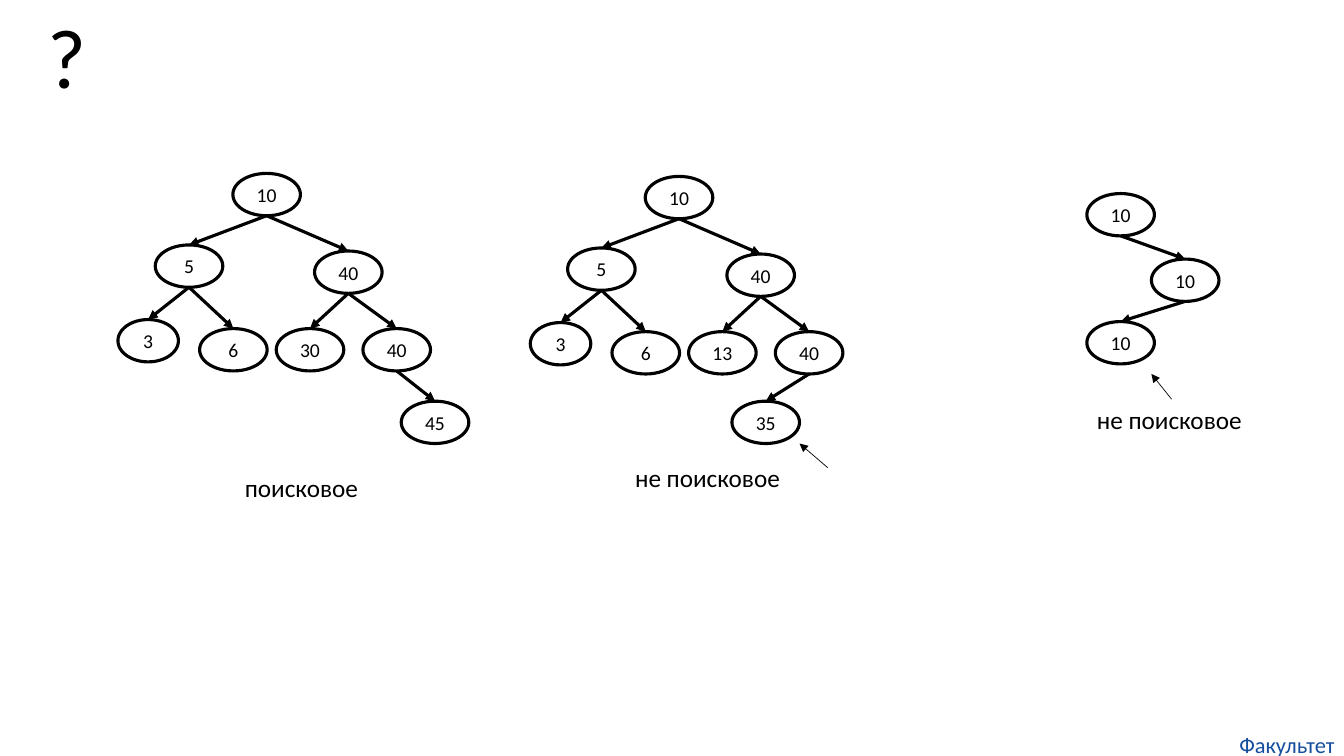
import pptx
import pptx.util
import pptx.dml.color
import pptx.enum.shapes
import pptx.enum.text
import pptx.oxml.ns
import lxml.etree
from dataclasses import dataclass

Inches = pptx.util.Inches
Pt = pptx.util.Pt
qn = pptx.oxml.ns.qn
Align = pptx.enum.text.PP_ALIGN


@dataclass(frozen=True)
class Theme:
    font: str = "Calibri"
    ink: str = "000000"
    blue: str = "144E9D"
    title: int = 60
    label: int = 18
    foot: int = 16
    node: int = 14
    thick: float = 2.25
    thin: float = 0.5


theme = Theme()


def write(frame, text, size, color, align=Align.LEFT):
    para = frame.paragraphs[0]
    para.alignment = align
    run = para.add_run()
    run.text = text
    run.font.name = theme.font
    run.font.size = Pt(size)
    run.font.color.rgb = pptx.dml.color.RGBColor.from_string(color)


def arrow(shapes, start, end, width):
    """Draw a line with a triangle head between two (x, y) points in EMU."""
    line = shapes.add_connector(pptx.enum.shapes.MSO_CONNECTOR.STRAIGHT, *start, *end)
    line.line.width = Pt(width)
    line.line.color.rgb = pptx.dml.color.RGBColor.from_string(theme.ink)
    props = line._element.spPr
    lxml.etree.SubElement(props.find(qn("a:ln")), qn("a:tailEnd"), type="triangle")
    lxml.etree.SubElement(props, qn("a:effectLst"))
    return line


deck = pptx.Presentation()
deck.slide_width = Inches(13.33)
deck.slide_height = Inches(7.5)
slide = deck.slides.add_slide(deck.slide_layouts[6])

# Node: label, left, top, index of its parent. Places are relative to the root.
root = ("10", 0, 0, None)
base = [root, ("5", -0.77, 0.71, 0), ("40", 0.81, 0.77, 0),
        ("3", -1.14, 1.45, 1), ("6", -0.33, 1.54, 1), ("40", 1.29, 1.54, 2)]
trees = [
    (2.31, 1.72, [*base, ("30", 0.43, 1.54, 2), ("45", 1.67, 2.26, 5)]),
    (6.4, 1.75, [*base, ("13", 0.43, 1.54, 2), ("35", 0.86, 2.23, 5)]),
    (10.78, 1.92, [root, ("10", 0.64, 0.65, 0), ("10", 0, 1.27, 1)]),
]
for left, top, nodes in trees:
    group = slide.shapes.add_group_shape()
    ovals = []
    for label, x, y, parent in nodes:
        wide = 0.6 if label == "3" else 0.67
        oval = group.shapes.add_shape(
            pptx.enum.shapes.MSO_SHAPE.OVAL,
            Inches(left + x), Inches(top + y), Inches(wide), Inches(0.42))
        oval.shadow.inherit = False
        oval.fill.background()
        oval.line.width = Pt(theme.thick)
        oval.line.color.rgb = pptx.dml.color.RGBColor.from_string(theme.ink)
        oval.text_frame.vertical_anchor = pptx.enum.text.MSO_ANCHOR.MIDDLE
        write(oval.text_frame, label, theme.node, theme.ink, Align.CENTER)
        ovals.append(oval)
        if parent is None:
            continue
        above = ovals[parent]
        edge = arrow(group.shapes,
                     (above.left + above.width // 2, above.top + above.height),
                     (oval.left + oval.width // 2, oval.top), theme.thick)
        # Glue the edge: an oval has site 4 at the bottom and site 0 at the top.
        glue = edge._element.find(".//" + qn("p:cNvCxnSpPr"))
        for tag, shape, site in (("a:stCxn", above, "4"), ("a:endCxn", oval, "0")):
            lxml.etree.SubElement(glue, qn(tag), id=str(shape.shape_id), idx=site)

texts = [
    ("?", 0.37, 0, 0.69, 1.11, theme.title, True),
    ("не поисковое", 6.2, 4.54, 1.68, 0.4, theme.label, False),
    ("поисковое", 2.33, 4.64, 1.34, 0.4, theme.label, False),
    ("не поисковое", 10.78, 3.96, 1.68, 0.4, theme.label, False),
]
for text, x, y, w, h, size, wrap in texts:
    box = slide.shapes.add_textbox(Inches(x), Inches(y), Inches(w), Inches(h))
    box.text_frame.word_wrap = wrap
    box.text_frame.auto_size = pptx.enum.text.MSO_AUTO_SIZE.SHAPE_TO_FIT_TEXT
    write(box.text_frame, text, size, theme.ink)

foot = slide.shapes.add_textbox(Inches(12.2), Inches(7.25), Inches(1.13), Inches(0.27))
frame = foot.text_frame
frame.word_wrap = True
frame.auto_size = pptx.enum.text.MSO_AUTO_SIZE.SHAPE_TO_FIT_TEXT
frame.margin_left = frame.margin_right = frame.margin_top = frame.margin_bottom = 0
write(frame, "Факультет", theme.foot, theme.blue, Align.CENTER)

for x1, y1, x2, y2 in ((8.21, 4.64, 7.93, 4.4), (11.62, 3.96, 11.42, 3.71)):
    arrow(slide.shapes, (Inches(x1), Inches(y1)), (Inches(x2), Inches(y2)), theme.thin)

deck.save("out.pptx")
